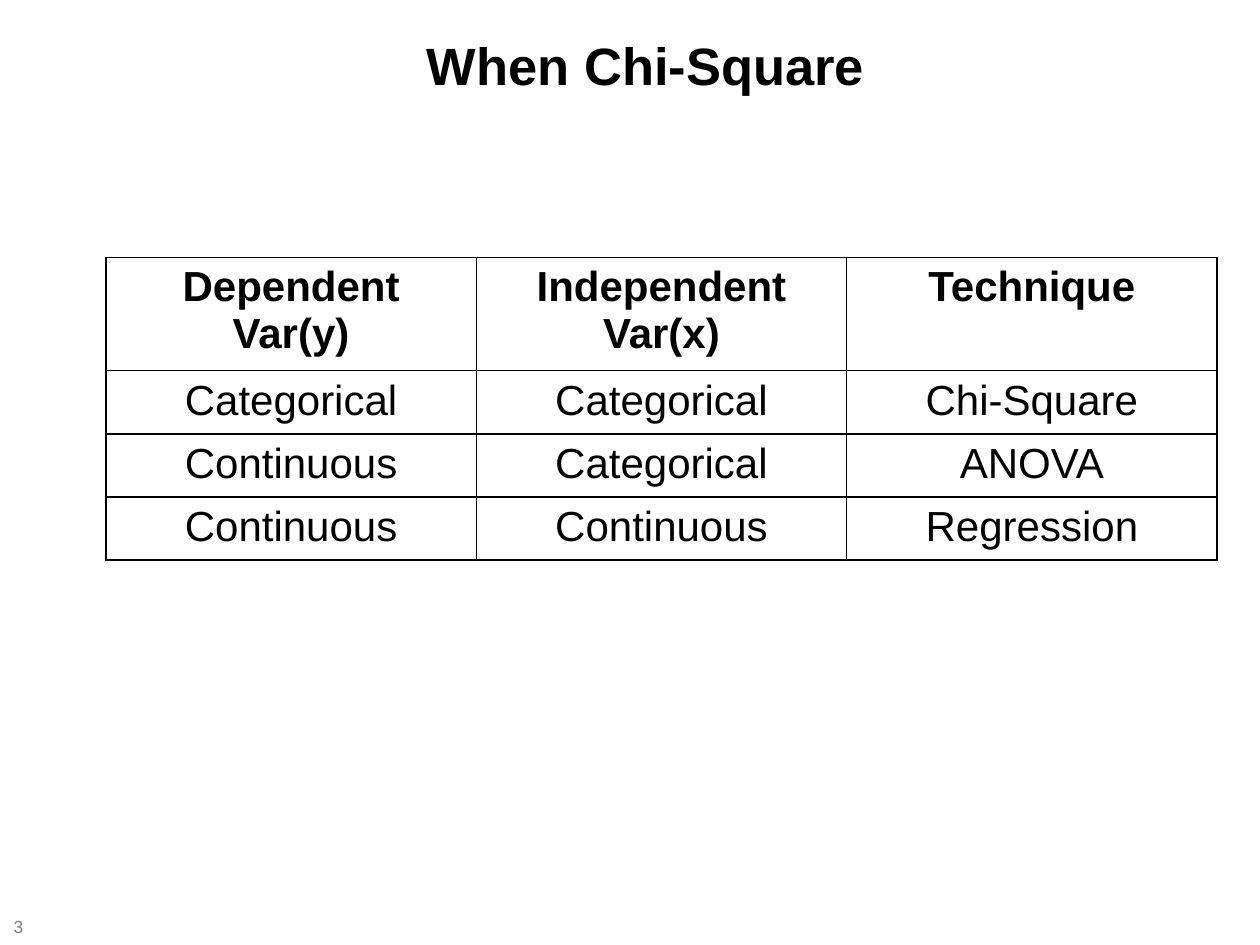
from lxml import etree
from pptx import Presentation
from pptx.dml.color import RGBColor
from pptx.enum import text
from pptx.oxml.ns import qn
from pptx.util import Pt

BLACK = RGBColor(0x00, 0x00, 0x00)
GRAY = RGBColor(0x7F, 0x7F, 0x7F)
FONT = "Arial"

ROWS = [
    ("Dependent Var(y)", "Independent Var(x)", "Technique"),
    ("Categorical", "Categorical", "Chi-Square"),
    ("Continuous", "Categorical", "ANOVA"),
    ("Continuous", "Continuous", "Regression"),
]


def write(tf, words, size, color=BLACK, bold=False, align=text.PP_ALIGN.CENTER):
    p = tf.paragraphs[0]
    p.alignment = align
    r = p.add_run()
    r.text = words
    fmt = {"name": FONT, "size": Pt(size), "bold": bold}
    for key, value in fmt.items():
        setattr(r.font, key, value)
    r.font.color.rgb = color
    return p


def add_text(s, box, margins, anchor):
    tf = s.shapes.add_textbox(*map(Pt, box)).text_frame
    side, end = map(Pt, margins)
    fmt = {"word_wrap": True, "vertical_anchor": anchor,
           "margin_left": side, "margin_right": side,
           "margin_top": end, "margin_bottom": end}
    for key, value in fmt.items():
        setattr(tf, key, value)
    return tf


def add_title(s, box, words):
    tf = add_text(s, box, (7.2, 7.2), text.MSO_ANCHOR.TOP)
    p_pr = write(tf, words, 30, bold=True)._p.get_or_add_pPr()
    # Hanging indent
    p_pr.set("marL", str(Pt(36)))
    p_pr.set("indent", str(Pt(-18)))


def add_page_number(s, box, number):
    tf = add_text(s, box, (7.2, 3.6), text.MSO_ANCHOR.MIDDLE)
    write(tf, number, 10, GRAY, align=text.PP_ALIGN.LEFT)


def add_borders(cell):
    tc_pr = cell._tc.get_or_add_tcPr()
    # Borders come before the fill in the cell properties
    for i, side in enumerate(("a:lnL", "a:lnR", "a:lnT", "a:lnB")):
        ln = etree.Element(qn(side), w=str(Pt(1)))
        fill = etree.SubElement(ln, qn("a:solidFill"))
        etree.SubElement(fill, qn("a:srgbClr"), val=str(BLACK))
        tc_pr.insert(i, ln)


def add_technique_table(s, box, rows, header_height, row_height):
    table = s.shapes.add_table(len(rows), len(rows[0]), *map(Pt, box)).table
    table.first_row = table.horz_banding = False
    for col in table.columns:
        col.width = Pt(box[2] / len(rows[0]))
    for i, row in enumerate(rows):
        table.rows[i].height = Pt(row_height if i else header_height)
        for j, words in enumerate(row):
            cell = table.cell(i, j)
            cell.fill.background()
            add_borders(cell)
            write(cell.text_frame, words, 24, bold=i == 0)


def main():
    prs = Presentation()
    prs.slide_width, prs.slide_height = Pt(720), Pt(540)
    s = prs.slides.add_slide(prs.slide_layouts[6])

    # Page number, heading, table
    add_page_number(s, (0.75, 523.5, 28, 11.5), "3")
    add_title(s, (36, 11.5, 648, 44), "When Chi-Square")
    add_technique_table(s, (60.5, 147, 635, 162.6), ROWS, 60.6, 34)

    prs.save("out.pptx")


if __name__ == "__main__":
    main()
